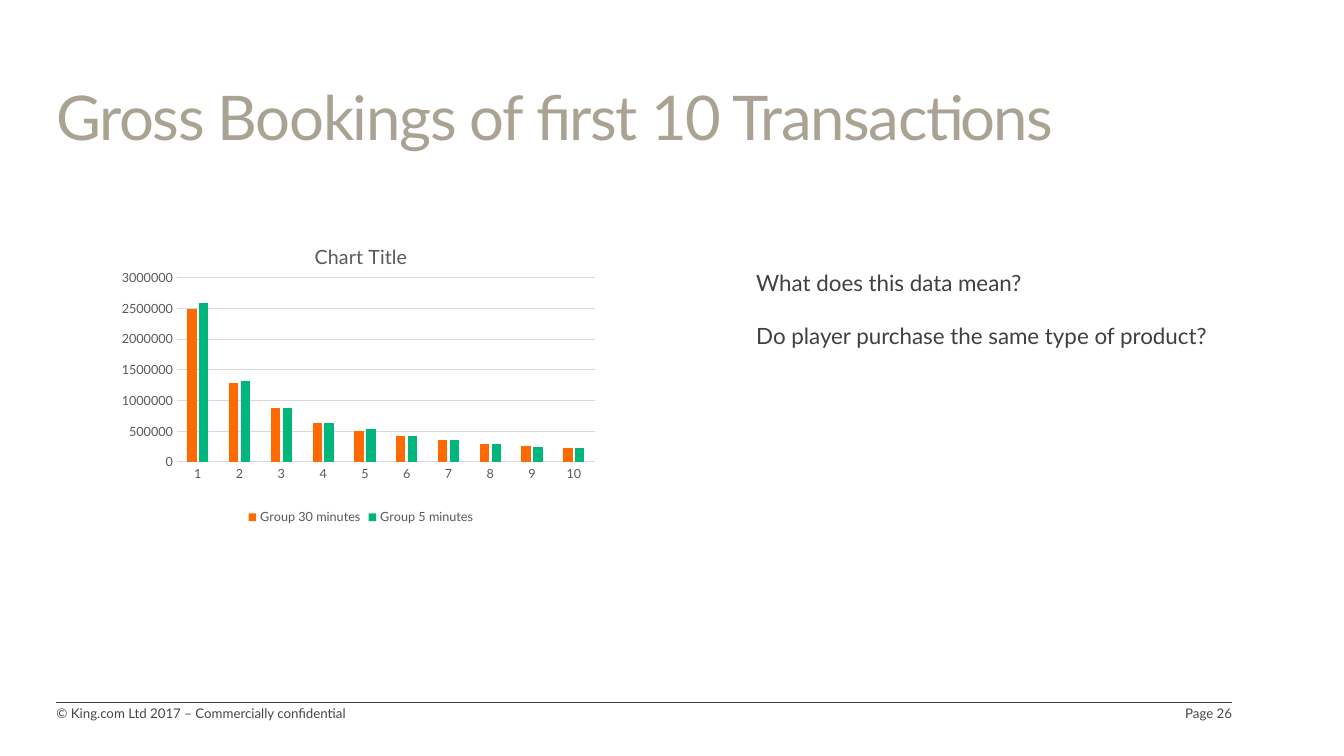
from lxml import etree
from pptx import Presentation
from pptx import util as u
from pptx.chart.data import CategoryChartData
from pptx.dml.color import RGBColor
from pptx.enum import chart as ch, shapes, text
from pptx.oxml import parse_xml
from pptx.oxml.ns import nsdecls, qn

EMU_PER_PX = 9144
FONT = "Lato"
TITLE_TAUPE = RGBColor(0xAA, 0xA2, 0x93)
BODY_GREY = RGBColor(0x40, 0x40, 0x40)
FOOTER_GREY = RGBColor(0x46, 0x46, 0x46)
CHART_GREY = RGBColor(0x59, 0x59, 0x59)
GRID_GREY = RGBColor(0xD9, 0xD9, 0xD9)
ORANGE = RGBColor(0xFF, 0x6A, 0x00)
GREEN = RGBColor(0x00, 0xB6, 0x7D)

BOOKINGS = [
    ("Group 30 minutes", ORANGE,
     [2490000, 1280000, 870000, 640000, 510000, 420000, 350000, 290000, 260000, 220000]),
    ("Group 5 minutes", GREEN,
     [2580000, 1310000, 880000, 640000, 530000, 420000, 350000, 290000, 250000, 220000]),
]
PLOT_AREA = {"x": 0.135, "y": 0.168, "w": 0.829, "h": 0.61}


def px(*lengths):
    return [u.Emu(length * EMU_PER_PX) for length in lengths]


def set_font(font, size, color):
    font.name, font.size, font.bold = FONT, u.Pt(size), False
    font.color.rgb = color


def fill_frame(frame, lines, size, color, align=text.PP_ALIGN.LEFT, gap=0):
    """Write one paragraph per line, with gap points between them."""
    frame.word_wrap = True
    frame.margin_left = frame.margin_right = frame.margin_top = frame.margin_bottom = 0
    for index, line in enumerate(lines):
        paragraph = frame.add_paragraph() if index else frame.paragraphs[0]
        paragraph.alignment = align
        if index:
            paragraph.space_before = u.Pt(gap)
        run = paragraph.add_run()
        run.text = line
        set_font(run.font, size, color)


def add_text(slide, box, lines, size, color, **options):
    frame = slide.shapes.add_textbox(*px(*box)).text_frame
    fill_frame(frame, lines, size, color, **options)


def add_title(slide, box, wording):
    title = slide.shapes.title
    title.left, title.top, title.width, title.height = px(*box)
    frame = title.text_frame
    fill_frame(frame, [wording], 44, TITLE_TAUPE)
    frame.auto_size = text.MSO_AUTO_SIZE.NONE
    frame.vertical_anchor = text.MSO_ANCHOR.MIDDLE
    heading = frame.paragraphs[0]
    heading.line_spacing = 0.85
    heading.space_before = u.Pt(0)
    heading.runs[0].font._element.set("spc", "-100")


def add_rule(slide, left, right, y):
    rule = slide.shapes.add_connector(shapes.MSO_CONNECTOR.STRAIGHT, *px(left, y, right, y))
    rule.line.color.rgb = BODY_GREY
    rule.line.width = u.Pt(0.5)
    etree.SubElement(rule._element.spPr, qn("a:effectLst"))


def place_plot(chart):
    """Fix the inner plot area as fractions of the chart."""
    plot_area = chart._chartSpace.chart.plotArea
    for layout in plot_area.findall(qn("c:layout")):
        plot_area.remove(layout)
    modes = "".join(f'<c:{side}Mode val="edge"/>' for side in "xy")
    sizes = "".join(f'<c:{side} val="{share}"/>' for side, share in PLOT_AREA.items())
    plot_area.insert(0, parse_xml(
        f'<c:layout {nsdecls("c")}><c:manualLayout><c:layoutTarget val="inner"/>'
        f"{modes}{sizes}</c:manualLayout></c:layout>"))


def format_axes(chart):
    for axis in (chart.category_axis, chart.value_axis):
        axis.major_tick_mark = axis.minor_tick_mark = ch.XL_TICK_MARK.NONE
        set_font(axis.tick_labels.font, 9, CHART_GREY)
    chart.category_axis.format.line.color.rgb = GRID_GREY
    chart.category_axis.format.line.width = u.Pt(0.75)
    values = chart.value_axis
    values.minimum_scale, values.maximum_scale, values.major_unit = 0, 3000000, 500000
    values.format.line.fill.background()
    values.major_gridlines.format.line.color.rgb = GRID_GREY
    values.major_gridlines.format.line.width = u.Pt(0.75)


def add_bookings_chart(slide, box):
    data = CategoryChartData()
    data.categories = [str(number) for number in range(1, 11)]
    for name, _, amounts in BOOKINGS:
        data.add_series(name, amounts)
    chart = slide.shapes.add_chart(
        ch.XL_CHART_TYPE.COLUMN_CLUSTERED, *px(*box), data).chart
    set_font(chart.font, 10, CHART_GREY)

    chart.has_title = True
    caption = chart.chart_title.text_frame.paragraphs[0].add_run()
    caption.text = "Chart Title"
    set_font(caption.font, 14, CHART_GREY)
    chart.chart_title.include_in_layout = False

    chart.has_legend = True
    chart.legend.position = ch.XL_LEGEND_POSITION.BOTTOM
    chart.legend.include_in_layout = False
    set_font(chart.legend.font, 9, CHART_GREY)

    columns = chart.plots[0]
    columns.gap_width, columns.overlap = 219, -27
    columns.vary_by_categories = False
    for series, (_, color, _) in zip(columns.series, BOOKINGS):
        series.format.fill.solid()
        series.format.fill.fore_color.rgb = color
    format_axes(chart)
    place_plot(chart)


def main():
    deck = Presentation()
    deck.slide_width, deck.slide_height = px(1333, 750)
    slide = deck.slides.add_slide(deck.slide_layouts[5])
    add_rule(slide, 56, 1222, 697)
    add_text(slide, (56, 700, 425, 29),
             ["© King.com Ltd 2017 – Commercially confidential"], 9.5, FOOTER_GREY)
    add_title(slide, (56, 52, 1232, 138), "Gross Bookings of first 10 Transactions")
    add_text(slide, (1143, 700, 79, 13), ["Page 26"], 9.5, FOOTER_GREY,
             align=text.PP_ALIGN.RIGHT)
    add_bookings_chart(slide, (108, 225, 500, 300))
    add_text(slide, (750, 267, 539, 81),
             ["What does this data mean?", "Do player purchase the same type of product?"],
             16, BODY_GREY, gap=19)
    deck.save("out.pptx")


if __name__ == "__main__":
    main()
